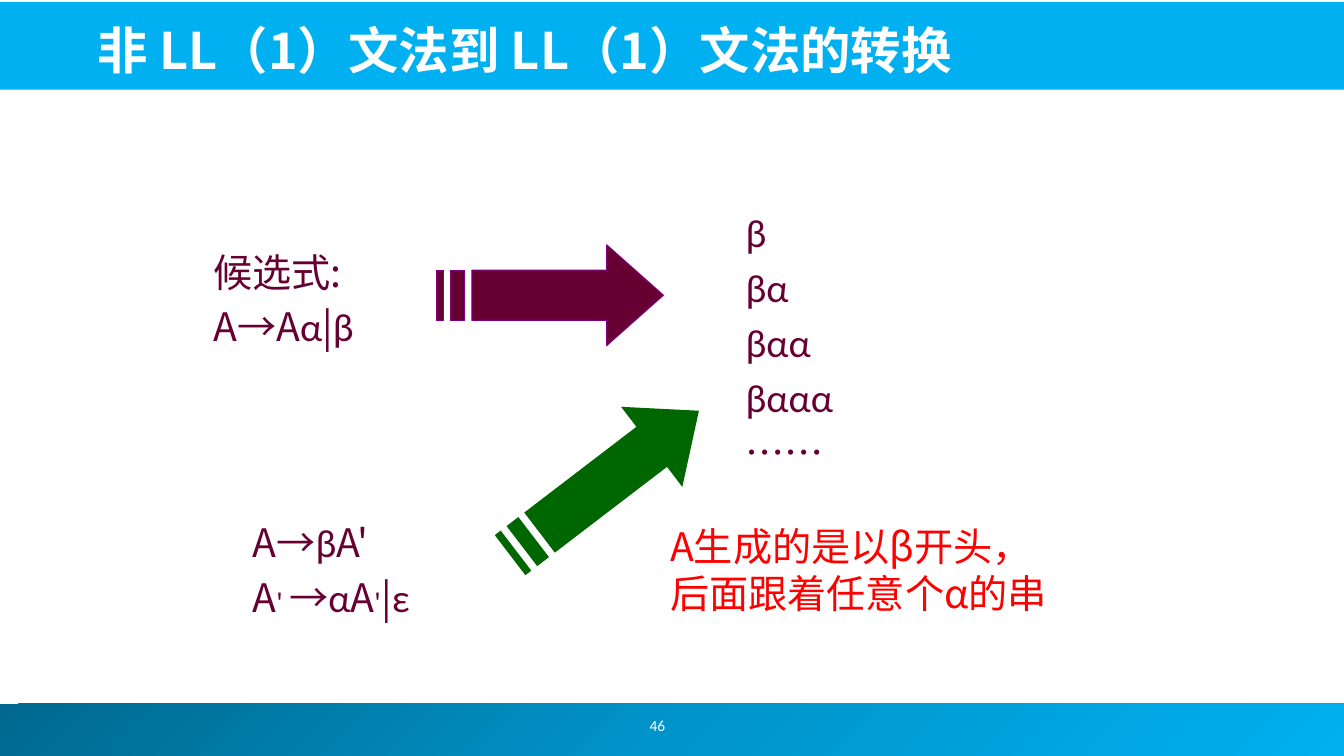
from copy import deepcopy

from lxml import etree
from pptx import Presentation
from pptx.dml.color import RGBColor
from pptx.enum.shapes import MSO_SHAPE
from pptx.enum.text import MSO_ANCHOR, MSO_AUTO_SIZE, PP_ALIGN
from pptx.oxml.ns import qn
from pptx.util import Cm, Pt

RECTANGLE = MSO_SHAPE.RECTANGLE
TOP, MIDDLE, BOTTOM = MSO_ANCHOR.TOP, MSO_ANCHOR.MIDDLE, MSO_ANCHOR.BOTTOM
LEFT, CENTER = PP_ALIGN.LEFT, PP_ALIGN.CENTER
NO_FIT, GROW = MSO_AUTO_SIZE.NONE, MSO_AUTO_SIZE.SHAPE_TO_FIT_TEXT

CJK = "Noto Sans CJK JP"
LATIN = "Calibri"
WINE = "660033"
WHITE = "FFFFFF"
SKY = "00B0F0"


def color(value):
    return RGBColor.from_string(value)


def style_para(para, size, ink, name=CJK, bold=False, align=LEFT):
    para.alignment = align
    font = para.font
    font.name = name
    font.size = Pt(size)
    font.bold = bold
    font.color.rgb = color(ink)
    defaults = para._p.pPr.find(qn("a:defRPr"))
    etree.SubElement(defaults, qn("a:ea")).set("typeface", name)


def add_spans(para, spans):
    for text, name, size in spans:
        span = para.add_run()
        span.text = text
        if name:
            span.font.name = name
        if size:
            span.font.size = Pt(size)


def cjk(text, size=None):
    return text, None, size


def greek(text):
    return text, LATIN, None


def add_text(page, place, lines, ink=WINE, size=28, name=CJK, before=5.6,
             align=LEFT, anchor=TOP, fit=GROW):
    box = page.shapes.add_textbox(*map(Cm, place))
    frame = box.text_frame
    frame.word_wrap = True
    frame.auto_size = fit
    frame.vertical_anchor = anchor
    for index, spans in enumerate(lines):
        para = frame.add_paragraph() if index else frame.paragraphs[0]
        para.space_before = Pt(before)
        style_para(para, size, ink, name, align=align)
        add_spans(para, spans)


def add_bar(page, place, stops):
    bar = page.shapes.add_shape(RECTANGLE, *map(Cm, place))
    bar.shadow.inherit = False
    bar.line.fill.background()
    if len(stops) == 1:
        bar.fill.solid()
        bar.fill.fore_color.rgb = color(stops[0])
        return
    bar.fill.gradient()
    bar.fill.gradient_angle = 315
    first = bar._element.spPr.find(".//" + qn("a:gs"))
    for _ in stops[2:]:
        first.addnext(deepcopy(first))
    for index, (stop, value) in enumerate(zip(bar.fill.gradient_stops, stops)):
        stop.position = index / (len(stops) - 1)
        stop.color.rgb = color(value)


def add_striped_arrow(page, place, fill, edge=None, rotation=0):
    left, top, width, height = place

    def block(start, end):
        return [(start, 8), (start, 24), (end, 24), (end, 8)]

    head = [(24, 0), (24, 8), (5, 8), (5, 24), (24, 24), (24, 32), (32, 16)]
    contours = [
        [(Cm(left + width * x / 32), Cm(top + height * y / 32)) for x, y in contour]
        for contour in (head, block(2, 4), block(0, 1))
    ]
    builder = page.shapes.build_freeform(*contours[0][0])
    for index, contour in enumerate(contours):
        if index:
            builder.move_to(*contour[0])
        builder.add_line_segments(contour[1:], close=True)
    arrow = builder.convert_to_shape()
    arrow.shadow.inherit = False
    arrow.rotation = rotation
    arrow.fill.solid()
    arrow.fill.fore_color.rgb = color(fill)
    if edge:
        arrow.line.color.rgb = color(edge)
        arrow.line.width = Pt(0.75)
    else:
        arrow.line.fill.background()


def set_title(page, place, text):
    title = page.shapes.title
    title.left, title.top, title.width, title.height = map(Cm, place)
    frame = title.text_frame
    frame.auto_size = NO_FIT
    frame.vertical_anchor = BOTTOM
    frame.text = text
    style_para(frame.paragraphs[0], 36, WHITE, bold=True)
    page.shapes._spTree.append(title._element)


def main():
    deck = Presentation()
    deck.slide_width, deck.slide_height = Cm(33.87), Cm(19.05)
    page = deck.slides.add_slide(deck.slide_layouts[5])

    add_bar(page, (-0.13, 17.73, 34.01, 1.32), ["00688E", "0094CA", SKY])
    add_bar(page, (-0.05, 0.05, 33.93, 2.21), [SKY])
    add_text(page, (12.9, 17.65, 7.34, 1.27), [[cjk("46")]], WHITE, 11, LATIN,
             before=0, align=CENTER, anchor=MIDDLE, fit=NO_FIT)

    add_text(page, (5.13, 6.12, 8.79, 2.87), [
        [cjk("候选式:")],
        [cjk("A→A"), greek("α"), cjk("|"), greek("β")],
    ])
    add_striped_arrow(page, (11, 6.17, 5.72, 2.54), WINE, edge="800080")
    strings = [[greek("β" + "α" * count)] for count in range(4)]
    add_text(page, (18.54, 5.13, 5.79, 7.14), strings + [[cjk("……")]])

    add_text(page, (6.12, 12.93, 6.4, 2.87), [
        [cjk("A→"), greek("β"), cjk("A'")],
        [cjk("A"), cjk("' ", 18), cjk("→"), greek("α"), cjk("A"),
         cjk("'", 18), cjk("|"), greek("ε")],
    ])
    add_striped_arrow(page, (12.24, 10.9, 5.99, 2.54), "006600", rotation=322.6)
    add_text(page, (16.64, 13.03, 10.46, 2.64),
             [[cjk("A生成的是以β开头，后面跟着任意个α的串")]], "FF0000", before=0)

    set_title(page, (2.21, 0.13, 30.63, 2.01), "非 LL（1）文法到 LL（1）文法的转换")
    deck.save("out.pptx")


if __name__ == "__main__":
    main()
